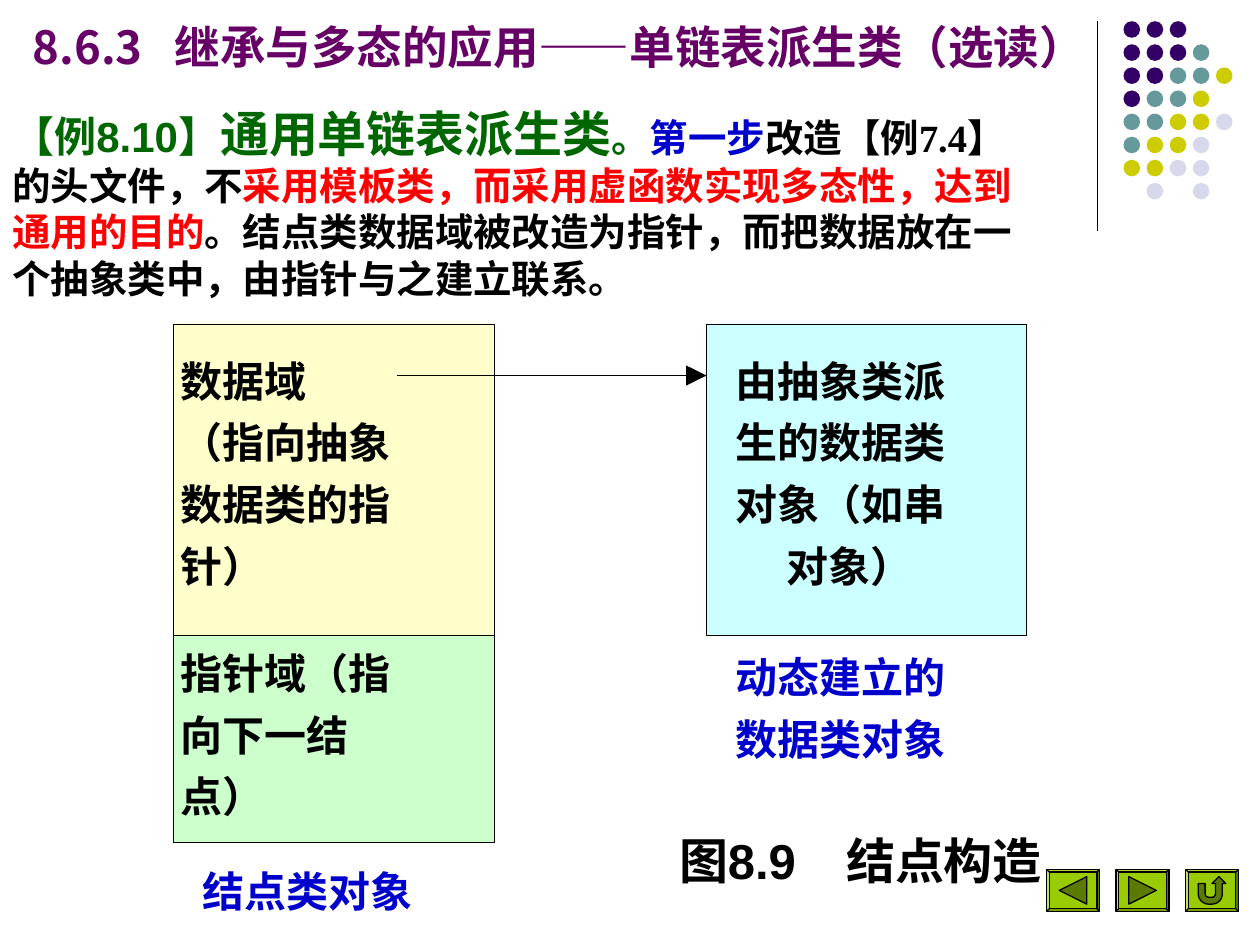
from typing import NamedTuple

from lxml import etree
from pptx import Presentation
from pptx import util as u
from pptx.dml.color import RGBColor
from pptx.enum import shapes, text
from pptx.oxml import ns

BLACK = RGBColor(0x00, 0x00, 0x00)
PURPLE = RGBColor(0x66, 0x00, 0x66)
GREEN = RGBColor(0x00, 0x66, 0x00)
BLUE = RGBColor(0x00, 0x00, 0xCC)
RED = RGBColor(0xFF, 0x00, 0x00)
CREAM = RGBColor(0xFF, 0xFF, 0xCC)
MINT = RGBColor(0xCC, 0xFF, 0xCC)
AQUA = RGBColor(0xCC, 0xFF, 0xFF)
LIME = RGBColor(0x99, 0xCC, 0x00)
DOT_COLORS = {
    "I": RGBColor(0x33, 0x00, 0x66),
    "T": RGBColor(0x66, 0x99, 0x99),
    "Y": RGBColor(0xCC, 0xCC, 0x00),
    "L": RGBColor(0xD8, 0xD8, 0xEC),
}
DOT_ROWS = ("III", "IIIT", "IITTY", "ITTY", "TTYYL", "TYYL", "YYLL", " L L")
DOT_PITCH = 13.2
LINE_PITCH = 35.28
CJK = "Noto Sans CJK SC"
ARIAL = "Arial"
TIMES = "Times New Roman"
SHAPE = shapes.MSO_SHAPE


class Area(NamedTuple):
    left: float
    top: float
    width: float
    height: float


class Cell(NamedTuple):
    area: Area
    fill: RGBColor


class Label(NamedTuple):
    left: float
    top: float
    lines: tuple[str, ...]
    color: RGBColor = BLACK


class Span(NamedTuple):
    words: str
    size: float
    font: str
    color: RGBColor


CELLS = (
    Cell(Area(99.2, 185, 183, 178), CREAM),
    Cell(Area(99.2, 363, 183, 118.5), MINT),
    Cell(Area(403.7, 185, 183, 178), AQUA),
)
LABELS = (
    Label(103, 203, ("数据域", "（指向抽象", "数据类的指", "针）")),
    Label(103, 370, ("指针域（指", "向下一结", "点）")),
    Label(420.5, 203, ("由抽象类派", "生的数据类", "对象（如串")),
    Label(449.3, 203 + 3 * LINE_PITCH, ("对象）",)),
    Label(420.5, 372.2, ("动态建立的", "数据类对象"), BLUE),
    Label(116, 494.6, ("结点类对象",), BLUE),
)
BODY = (
    Span("【例8.10】", 24, ARIAL, GREEN),
    Span("通用单链表派生类", 28, ARIAL, GREEN),
    Span("。", 22, ARIAL, GREEN),
    Span("第一步", 22, TIMES, BLUE),
    Span("改造【例7.4】的头文件，不", 22, TIMES, BLACK),
    Span("采用模板类，而采用虚函数实现多态性，达到通用的目的", 22, TIMES, RED),
    Span("。结点类数据域被改造为指针，而把数据放在一个抽象类中，由指针与之建立联系。", 22, TIMES, BLACK),
)
BUTTONS = (
    SHAPE.ACTION_BUTTON_BACK_OR_PREVIOUS,
    SHAPE.ACTION_BUTTON_FORWARD_OR_NEXT,
    SHAPE.ACTION_BUTTON_RETURN,
)


def add_span(para, words: str, *, size: float, font: str, color: RGBColor) -> None:
    span = para.add_run()
    span.text = words
    span.font.size = u.Pt(size)
    span.font.bold = True
    span.font.color.rgb = color
    span.font.name = font
    east_asian = etree.SubElement(span.font._element, ns.qn("a:ea"))
    east_asian.set("typeface", CJK)


def add_tab_stop(para, position: float) -> None:
    tabs = etree.SubElement(para._p.get_or_add_pPr(), ns.qn("a:tabLst"))
    etree.SubElement(tabs, ns.qn("a:tab"), pos=str(u.Pt(position)), algn="l")


def set_frame(box, *, inset: tuple[float, float] = (0, 0), middle: bool = False, wrap: bool = True):
    frame = box.text_frame
    frame.word_wrap = wrap
    frame.auto_size = text.MSO_AUTO_SIZE.NONE
    frame.margin_left = frame.margin_right = u.Pt(inset[0])
    frame.margin_top = frame.margin_bottom = u.Pt(inset[1])
    frame.vertical_anchor = text.MSO_ANCHOR.MIDDLE if middle else text.MSO_ANCHOR.TOP
    para = frame.paragraphs[0]
    para.alignment = text.PP_ALIGN.LEFT
    return para


def add_box(page, area: Area):
    return page.shapes.add_textbox(*map(u.Pt, area))


def add_filled(page, kind, area: Area, color: RGBColor, line: float = 0):
    shape = page.shapes.add_shape(kind, *map(u.Pt, area))
    style_shape(shape, color, line)
    return shape


def style_shape(shape, color: RGBColor, line: float = 0) -> None:
    shape.shadow.inherit = False
    shape.fill.solid()
    shape.fill.fore_color.rgb = color
    if line:
        shape.line.color.rgb = BLACK
        shape.line.width = u.Pt(line)
    else:
        shape.line.fill.background()


def add_line(page, start: tuple[float, float], end: tuple[float, float], width: float) -> None:
    line = page.shapes.add_connector(shapes.MSO_CONNECTOR.STRAIGHT, *map(u.Pt, start + end))
    line.line.color.rgb = BLACK
    line.line.width = u.Pt(width)
    etree.SubElement(line._element.spPr, ns.qn("a:effectLst"))


def add_dots(page) -> None:
    for row, codes in enumerate(DOT_ROWS):
        for column, code in enumerate(codes):
            if code in DOT_COLORS:
                area = Area(642 + column * DOT_PITCH, 12.1 + row * DOT_PITCH, 9.5, 9.5)
                add_filled(page, SHAPE.OVAL, area, DOT_COLORS[code])


def add_label(page, label: Label) -> None:
    for row, words in enumerate(label.lines):
        box = add_box(page, Area(label.left, label.top + row * LINE_PITCH, 24 * len(words), 28.8))
        add_span(set_frame(box, wrap=False), words, size=24, font=CJK, color=label.color)


def add_arrow(page) -> None:
    add_line(page, (226.8, 214.6), (393.8, 214.6), 0.25)
    builder = page.shapes.build_freeform(u.Pt(392), u.Pt(208.8))
    builder.add_line_segments([(u.Pt(403.7), u.Pt(214.6)), (u.Pt(392), u.Pt(220.4))])
    style_shape(builder.convert_to_shape(), BLACK)


def add_buttons(page) -> None:
    edge = 1.5
    for index, kind in enumerate(BUTTONS):
        left, top, width, height = area = Area(598.1 + index * 39.7, 496.8, 30.2, 24)
        bevel = add_filled(page, SHAPE.BEVEL, area, LIME, 0.75)
        bevel.adjustments[0] = edge / height
        face = Area(left + edge, top + edge, width - 2 * edge, height - 2 * edge)
        add_filled(page, kind, face, LIME, 0.75)


def main() -> None:
    deck = Presentation()
    deck.slide_width, deck.slide_height = u.Pt(720), u.Pt(540)
    page = deck.slides.add_slide(deck.slide_layouts[5])

    add_line(page, (627, 12), (627, 132), 0.75)
    add_dots(page)

    title = page.shapes.title
    title.left, title.top, title.width, title.height = map(u.Pt, (11.5, -8.6, 626.4, 69.8))
    para = set_frame(title, inset=(7.2, 3.6), middle=True)
    add_tab_stop(para, 81)
    add_span(para, "8.6.3\t继承与多态的应用——单链表派生类（选读）", size=26, font=CJK, color=PURPLE)

    para = set_frame(add_box(page, Area(0, 55.4, 595.4, 120.2)), inset=(7.2, 3.6), middle=True)
    for words, size, font, color in BODY:
        add_span(para, words, size=size, font=font, color=color)

    for cell in CELLS:
        add_filled(page, SHAPE.RECTANGLE, cell.area, cell.fill, 0.25)
    for label in LABELS:
        add_label(page, label)
    add_arrow(page)

    para = set_frame(add_box(page, Area(388, 474.5, 212, 33.8)))
    add_tab_stop(para, 95.5)
    add_span(para, "图8.9\t", size=28, font=ARIAL, color=BLACK)
    add_span(para, "结点构造", size=28, font=CJK, color=BLACK)
    add_buttons(page)

    deck.save("out.pptx")


if __name__ == "__main__":
    main()
